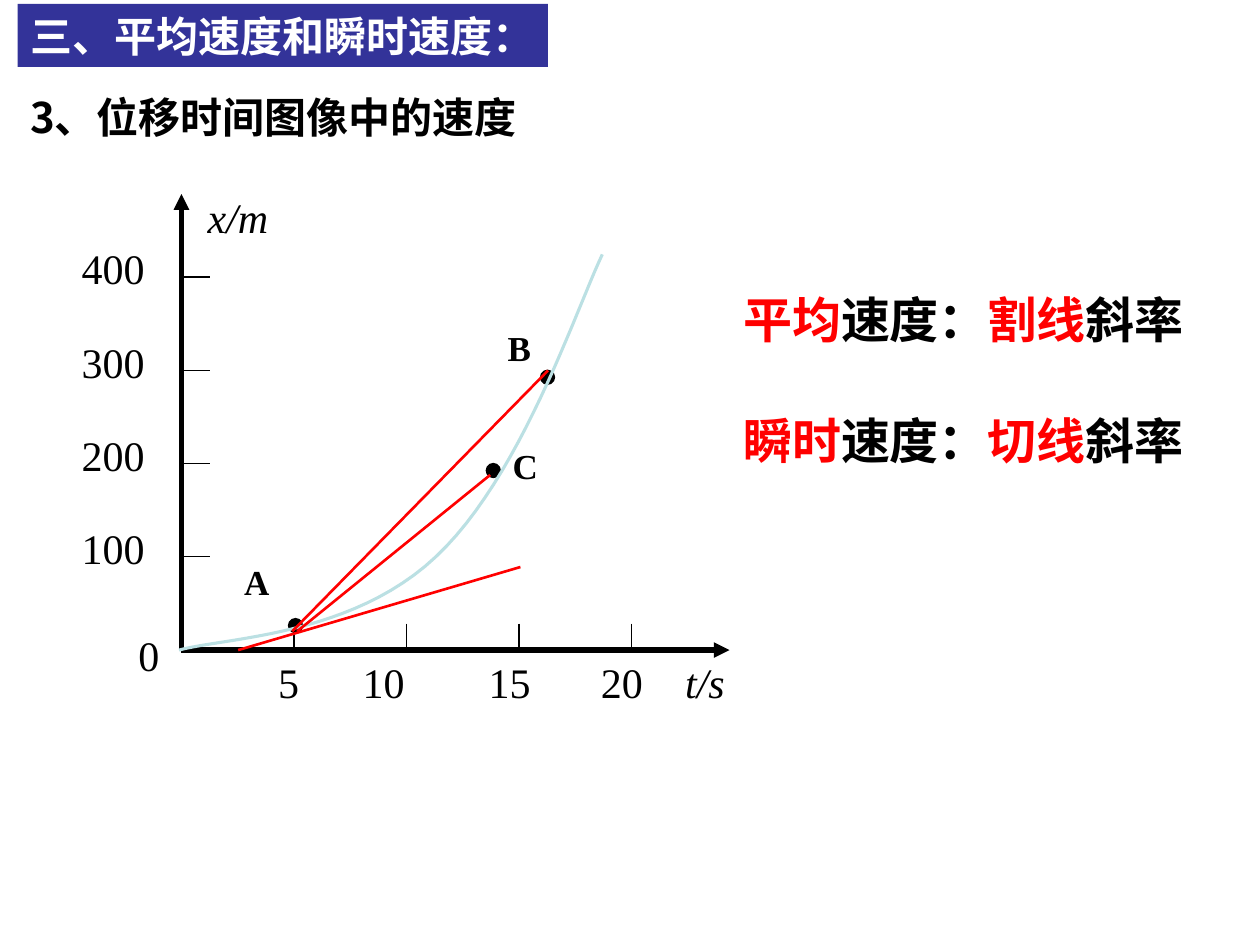
from dataclasses import dataclass

from lxml.etree import SubElement
from pptx import Presentation
from pptx.dml.color import RGBColor as RGB
from pptx.enum.shapes import MSO_CONNECTOR as Connector, MSO_SHAPE as Shape
from pptx.enum.text import MSO_ANCHOR as Anchor, MSO_AUTO_SIZE as AutoSize, PP_ALIGN as Align
from pptx.oxml.ns import qn
from pptx.util import Pt


@dataclass(frozen=True)
class Theme:
    banner: RGB = RGB(0x33, 0x33, 0x99)
    white: RGB = RGB(255, 255, 255)
    ink: RGB = RGB(0, 0, 0)
    accent: RGB = RGB(255, 0, 0)
    curve: RGB = RGB(0xBB, 0xE0, 0xE3)
    heading: int = 24
    conclusion: int = 28
    axis: int = 24
    point: int = 20
    chinese: str = "Noto Sans CJK SC"
    banner_font: str = "Arial"
    graph_font: str = "Times New Roman"


THEME = Theme()


def style(paragraph, size, font, color, bold=False, italic=False):
    paragraph.alignment = Align.LEFT
    face = paragraph.font
    face.size, face.name, face.bold, face.italic = Pt(size), font, bold, italic
    face.color.rgb = color
    latin = paragraph._p.pPr.find(qn("a:defRPr")).find(qn("a:latin"))
    east_asian = SubElement(latin.getparent(), qn("a:ea"))
    east_asian.set("typeface", THEME.chinese)
    latin.addnext(east_asian)


def add_text(slide, box, runs, size, font, bold=False, italic=False):
    """Add one line made of (words, colour) runs."""
    frame = slide.shapes.add_textbox(*map(Pt, box)).text_frame
    frame.word_wrap = True
    line = frame.paragraphs[0]
    style(line, size, font, THEME.ink, bold, italic)
    for words, color in runs:
        run = line.add_run()
        run.text = words
        if color != THEME.ink:
            run.font.color.rgb = color


def add_line(slide, start, end, color, width, arrow=False):
    line = slide.shapes.add_connector(Connector.STRAIGHT, *start, *end)
    line.line.color.rgb = color
    line.line.width = Pt(width)
    if arrow:
        SubElement(line.line._get_or_add_ln(), qn("a:tailEnd")).set("type", "triangle")
    SubElement(line._element.spPr, qn("a:effectLst"))


def bezier(p0, p1, p2, p3, steps=24):
    """Points along a cubic curve, leaving out its start."""
    for i in range(1, steps + 1):
        t = i / steps
        weights = ((1 - t) ** 3, 3 * t * (1 - t) ** 2, 3 * t * t * (1 - t), t ** 3)
        yield tuple(sum(w * p[axis] for w, p in zip(weights, (p0, p1, p2, p3)))
                    for axis in (0, 1))


def add_headings(slide, left, top, width, height):
    banner = slide.shapes.title
    banner.left, banner.top, banner.width, banner.height = map(Pt, (left, top, width, height))
    banner.fill.solid()
    banner.fill.fore_color.rgb = THEME.banner
    frame = banner.text_frame
    frame.text = "三、平均速度和瞬时速度："
    frame.auto_size = AutoSize.NONE
    frame.word_wrap = False
    frame.vertical_anchor = Anchor.TOP
    style(frame.paragraphs[0], THEME.heading, THEME.banner_font, THEME.white, bold=True)
    add_text(slide, (left, top + 46.8, width + 22, height),
             [("3、位移时间图像中的速度", THEME.ink)], THEME.heading, THEME.chinese, bold=True)


def add_graph(slide, left, top, width, height):
    """Displacement-time graph; its inner places run right and up from the origin."""
    bottom = top + height
    x_step, y_step = 64.3, 53.3

    def at(x, y):
        return Pt(left + x), Pt(bottom - y)

    def label(words, x, y, box_width=72, box_height=36, size=THEME.axis, **look):
        add_text(slide, (left + x, bottom - y, box_width, box_height),
                 [(words, THEME.ink)], size, THEME.graph_font, **look)

    for end in ((0, height), (width, 0)):
        add_line(slide, at(0, 0), at(*end), THEME.ink, 3, arrow=True)
    for i in range(1, 5):
        add_line(slide, at(i * x_step, 15.1), at(i * x_step, 0), THEME.ink, 0.75)
        add_line(slide, at(0, i * y_step), at(16.6, i * y_step), THEME.ink, 0.75)
        label(str(100 * i), -64.1, i * y_step + 23)
    label("0", -31.7, 15.1)
    for time, x in ((5, 48.2), (10, 96.5), (15, 168.5), (20, 232.6)):
        label(str(time), x, 0)
    label("x/m", 7.9, 265.7, italic=True)
    label("t/s", 280.8, 0, italic=True)

    diameter = 8
    for name, center, corner in (("A", (65.2, 14), (28.8, 54.7)),
                                 ("B", (209.2, 155.9), (179.3, 188.6)),
                                 ("C", (178.2, 102.6), (182.2, 121))):
        x, y = center
        dot = slide.shapes.add_shape(Shape.OVAL, *at(x - diameter / 2, y + diameter / 2),
                                     Pt(diameter), Pt(diameter))
        dot.shadow.inherit = False
        dot.fill.solid()
        dot.fill.fore_color.rgb = THEME.ink
        dot.line.color.rgb = THEME.ink
        dot.line.width = Pt(0.75)
        label(name, *corner, 41, 31.7, THEME.point, bold=True)

    start, middle, end = (-1.4, 0), (145.4, 53.3), (240.5, 226.1)
    builder = slide.shapes.build_freeform(*at(*start))
    points = [*bezier(start, (25.9, 7.2), (97.2, 7.9), middle),
              *bezier(middle, (193.7, 98.6), (224.6, 192.2), end)]
    builder.add_line_segments([at(*point) for point in points], close=False)
    motion = builder.convert_to_shape()
    motion.shadow.inherit = False
    motion.fill.background()
    motion.line.color.rgb = THEME.curve
    motion.line.width = Pt(1.75)

    secant_ac = (66.2, 10.8), (176.4, 100.1)
    tangent_a = (32.4, 0), (193.7, 47.5)
    secant_ab = (63.4, 10.8), (209.5, 159.8)
    for first, last in (secant_ac, tangent_a, secant_ab):
        add_line(slide, at(*first), at(*last), THEME.accent, 1.5)


def add_conclusions(slide, left, top, width, pitch):
    for row, (kind, chord) in enumerate((("平均", "割线"), ("瞬时", "切线"))):
        runs = [(kind, THEME.accent), ("速度：", THEME.ink),
                (chord, THEME.accent), ("斜率", THEME.ink)]
        add_text(slide, (left, top + row * pitch, width, 41), runs,
                 THEME.conclusion, THEME.chinese, bold=True)


def main():
    deck = Presentation()
    deck.slide_width, deck.slide_height = Pt(720), Pt(540)
    slide = deck.slides.add_slide(deck.slide_layouts[5])
    add_headings(slide, 10.1, 2.2, 303, 36)
    add_graph(slide, 103.7, 110.9, 313.2, 260.6)
    add_conclusions(slide, 417.6, 162, 290, 69.1)
    deck.save("out.pptx")


if __name__ == "__main__":
    main()
